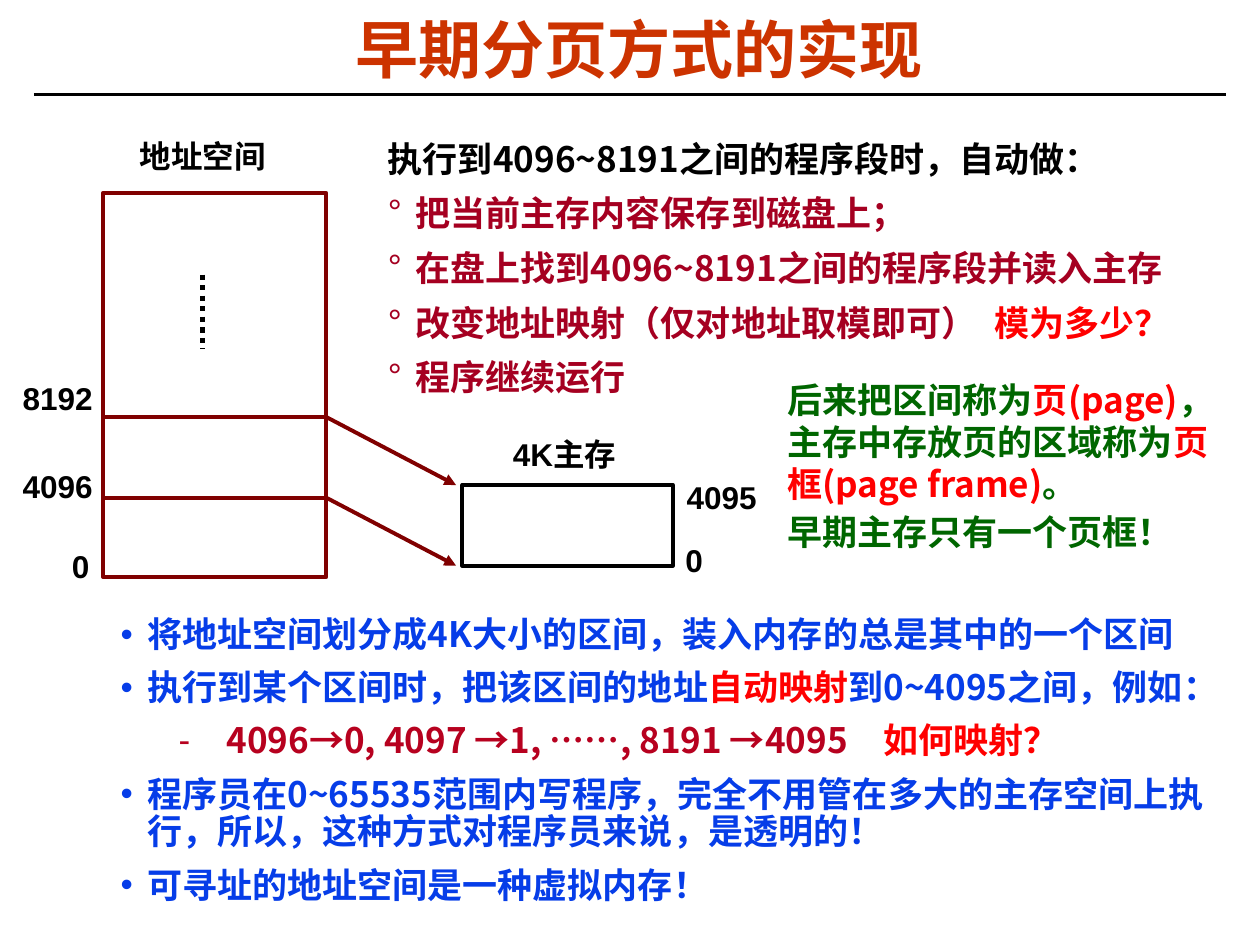
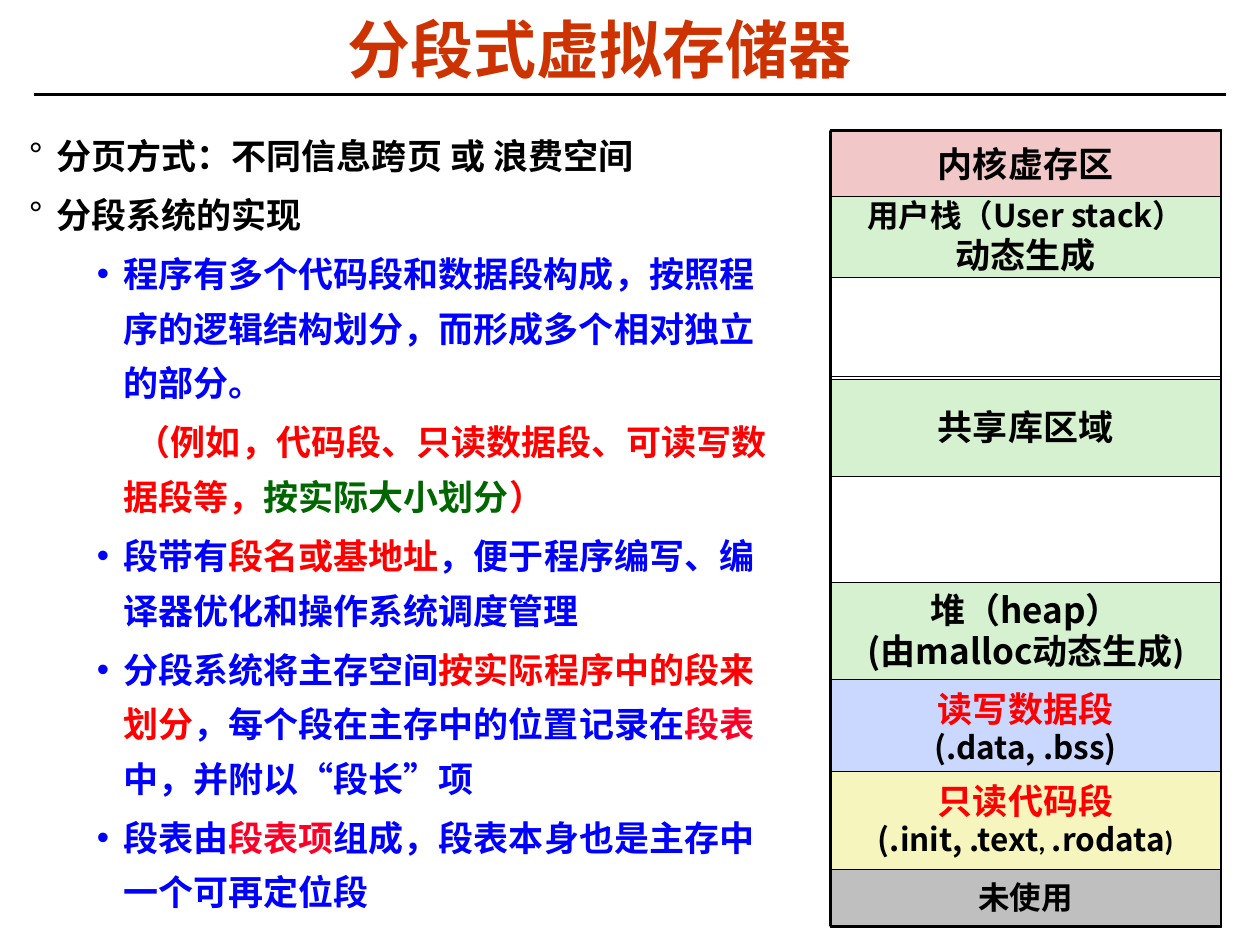
from dataclasses import dataclass
from typing import Optional

from lxml.etree import SubElement
from pptx import Presentation
from pptx.dml.color import RGBColor
from pptx.enum.dml import MSO_LINE
from pptx.enum.shapes import MSO_CONNECTOR, MSO_SHAPE
from pptx.enum.text import MSO_ANCHOR, PP_ALIGN
from pptx.oxml.ns import qn
from pptx.util import Emu, Pt

PX = 9144


@dataclass(frozen=True)
class Theme:
    title: str = "CC3300"
    black: str = "000000"
    white: str = "FFFFFF"
    red: str = "FF0000"
    crimson: str = "FC0128"
    blue: str = "0000FF"
    royal: str = "063DE8"
    wine: str = "A50021"
    ruby: str = "B7011F"
    maroon: str = "800000"
    green: str = "006600"
    kernel: str = "F1C7C7"
    dynamic: str = "D5F1CF"
    data: str = "CAD7FE"
    code: str = "F6F5BD"
    unused: str = "BFBFBF"
    latin: str = "Arial"
    cjk: str = "Noto Sans CJK SC"
    narrow: str = "Calibri"
    title_size: int = 36
    body_size: int = 20
    label_size: int = 18
    small_size: int = 16
    gap_size: int = 10


T = Theme()


@dataclass(frozen=True)
class Box:
    left: int
    top: int
    width: int
    height: int


@dataclass(frozen=True)
class Run:
    text: str
    color: str = T.black
    size: int = T.body_size
    font: str = T.cjk


@dataclass(frozen=True)
class Style:
    level: int = 0
    margin: int = 0
    indent: int = 0
    spacing: float = 1.0
    before: float = 0
    bullet: str = ""
    bullet_color: str = T.black
    align: Optional[PP_ALIGN] = None


@dataclass(frozen=True)
class Para:
    style: Style
    runs: tuple[Run, ...]


@dataclass(frozen=True)
class Label:
    text: str
    box: Box


@dataclass(frozen=True)
class Line:
    x1: int
    y1: int
    x2: int
    y2: int
    color: str = T.maroon
    width: float = 2.25
    dotted: bool = False
    arrow: bool = False


@dataclass(frozen=True)
class Segment:
    top: int
    height: int
    fill: str
    lines: tuple[tuple[Run, ...], ...] = ()
    border: float = 0.25


PLAIN = Style()
TITLE_CENTER = Style(spacing=0.87, align=PP_ALIGN.CENTER)
TITLE_LEFT = Style(spacing=0.87)
SEGMENT_TEXT = Style(spacing=0.98, align=PP_ALIGN.CENTER)
NOTE = Style(before=3.7)
STEP_HEAD = Style(margin=22, indent=-22, spacing=1.3)
STEP = Style(0, 22, -22, 1.3, 0, "°", T.wine)
POINT = Style(1, 75, -21, 0.9, 8.8, "•", T.royal)
EXAMPLE = Style(2, 138, -38, 0.9, 8.8, "-", T.ruby)
TOPIC = Style(0, 22, -22, 1.3, 2.5, "°", T.black)
DETAIL = Style(1, 75, -21, 1.3, 2.5, "•", T.blue)
ASIDE = Style(1, 75, 10, 1.3, 2.5)

LABELS = (
    Label("地址空间", Box(111, 109, 207, 30)),
    Label("4K主存", Box(407, 345, 113, 30)),
    Label("0", Box(544, 429, 44, 30)),
    Label("4095", Box(545, 379, 74, 30)),
    Label("0", Box(57, 434, 44, 30)),
    Label("4096", Box(18, 371, 59, 30)),
    Label("8192", Box(18, 301, 74, 30)),
)

STEPS = (
    Para(STEP_HEAD, (Run("执行到4096~8191之间的程序段时，自动做："),)),
    Para(STEP, (Run("把当前主存内容保存到磁盘上；", T.wine),)),
    Para(STEP, (Run("在盘上找到4096~8191之间的程序段并读入主存", T.wine),)),
    Para(STEP, (Run("改变地址映射（仅对地址取模即可）", T.wine),
                Run("　", T.wine, T.gap_size), Run("模为多少？", T.red))),
    Para(STEP, (Run("程序继续运行", T.wine),)),
)

PAGE_NOTES = (
    Para(NOTE, (Run("后来把区间称为", T.green), Run("页(page)", T.red),
                Run("，主存中存放页的区域称为", T.green),
                Run("页框(page frame)", T.red), Run("。", T.green))),
    Para(NOTE, (Run("早期主存只有一个页框！", T.green),)),
)

PAGING_POINTS = (
    Para(POINT, (Run("将地址空间划分成4K大小的区间，装入内存的总是其中的一个区间", T.royal),)),
    Para(POINT, (Run("执行到某个区间时，把该区间的地址", T.royal), Run("自动映射", T.red),
                 Run("到0~4095之间，例如：", T.royal))),
    Para(EXAMPLE, (Run("4096→0, 4097 →1, ……, 8191 →4095　", T.ruby),
                   Run("如何映射？", T.red))),
    Para(POINT, (Run("程序员在0~65535范围内写程序，完全不用管在多大的主存空间上执行，"
                     "所以，这种方式对程序员来说，是透明的！", T.royal),)),
    Para(POINT, (Run("可寻址的地址空间是一种虚拟内存！", T.royal),)),
)

SEGMENT_POINTS = (
    Para(TOPIC, (Run("分页方式：不同信息跨页 或 浪费空间"),)),
    Para(TOPIC, (Run("分段系统的实现"),)),
    Para(DETAIL, (Run("程序有多个代码段和数据段构成，按照程序的逻辑结构划分，"
                      "而形成多个相对独立的部分。", T.blue),)),
    Para(ASIDE, (Run("（例如，代码段、只读数据段、可读写数据段等，", T.red),
                 Run("按实际大小划分", T.green), Run("）", T.red))),
    Para(DETAIL, (Run("段带有", T.blue), Run("段名或基地址", T.red),
                  Run("，便于程序编写、编译器优化和操作系统调度管理", T.blue))),
    Para(DETAIL, (Run("分段系统将主存空间", T.blue), Run("按实际程序中的段来划分", T.red),
                  Run("，每个段在主存中的位置记录在", T.blue), Run("段表", T.crimson),
                  Run("中，并附以“段长”项", T.blue))),
    Para(DETAIL, (Run("段表由", T.blue), Run("段表项", T.crimson),
                  Run("组成，段表本身也是主存中一个可再定位段", T.blue))),
)

SEGMENTS = (
    Segment(103, 57, T.kernel, ((Run("内核虚存区"),),)),
    Segment(156, 65, T.dynamic, ((Run("用户栈（User stack）", size=T.label_size),),
                                 (Run("动态生成", font=T.narrow),))),
    Segment(220, 79, T.white, border=0.75),
    Segment(301, 78, T.dynamic, ((Run("共享库区域"),),)),
    Segment(378, 84, T.white),
    Segment(462, 78, T.dynamic, ((Run("堆（heap）"),),
                                 (Run("(由malloc动态生成"), Run(")", font=T.narrow)))),
    Segment(539, 78, T.data, ((Run("读写数据段", T.red),),
                              (Run("(.data, .bss)", size=T.label_size),))),
    Segment(612, 78, T.code, ((Run("只读代码段", T.red),),
                              (Run("(.init, .text", size=T.label_size),
                               Run(", ", size=T.small_size, font=T.narrow),
                               Run(".rodata", size=T.label_size),
                               Run(")", size=T.small_size, font=T.narrow)))),
    Segment(690, 46, T.unused, ((Run("未使用", size=T.label_size),),)),
)


def px(n: int) -> Emu:
    """Turn px into EMU."""
    return Emu(n * PX)


def rgb(color: str) -> RGBColor:
    """Turn a hex string into a colour."""
    return RGBColor.from_string(color)


def place(box: Box) -> tuple[Emu, Emu, Emu, Emu]:
    """Give a box as EMU lengths."""
    return px(box.left), px(box.top), px(box.width), px(box.height)


def add_run(p, run: Run) -> None:
    """Add one bold run with its Latin and East Asian fonts."""
    r = p.add_run()
    r.text = run.text
    r.font.name, r.font.size, r.font.bold = run.font, Pt(run.size), True
    r.font.color.rgb = rgb(run.color)
    SubElement(r.font._element, qn("a:ea"), typeface=T.cjk)


def format_paragraph(p, style: Style, first: bool) -> None:
    """Apply spacing, indents and bullet to a paragraph."""
    p.level, p.alignment, p.line_spacing = style.level, style.align, style.spacing
    p.space_before = Pt(0 if first else style.before)
    pPr = p._p.get_or_add_pPr()
    pPr.set("marL", str(px(style.margin)))
    pPr.set("indent", str(px(style.indent)))
    if style.bullet:
        SubElement(SubElement(pPr, qn("a:buClr")), qn("a:srgbClr"), val=style.bullet_color)
        SubElement(pPr, qn("a:buFont"), typeface=T.latin)
        SubElement(pPr, qn("a:buChar"), char=style.bullet)
    else:
        SubElement(pPr, qn("a:buNone"))


def fill_text(tf, paras: tuple[Para, ...]) -> None:
    """Write paragraphs into a text frame."""
    for i, para in enumerate(paras):
        p = tf.add_paragraph() if i else tf.paragraphs[0]
        format_paragraph(p, para.style, i == 0)
        for run in para.runs:
            add_run(p, run)


def add_text(s, box: Box, paras: tuple[Para, ...], inset: bool = True,
             anchor: MSO_ANCHOR = MSO_ANCHOR.TOP) -> None:
    """Add a wrapping text box, with or without insets."""
    tf = s.shapes.add_textbox(*place(box)).text_frame
    tf.word_wrap, tf.vertical_anchor = True, anchor
    if not inset:
        tf.margin_left = tf.margin_top = tf.margin_right = tf.margin_bottom = 0
    fill_text(tf, paras)


def add_rect(s, box: Box, fill: Optional[str], color: str, width: float):
    """Add an outlined rectangle."""
    sp = s.shapes.add_shape(MSO_SHAPE.RECTANGLE, *place(box))
    sp.shadow.inherit = False
    if fill:
        sp.fill.solid()
        sp.fill.fore_color.rgb = rgb(fill)
    else:
        sp.fill.background()
    sp.line.color.rgb, sp.line.width = rgb(color), Pt(width)
    return sp


def add_line(s, line: Line) -> None:
    """Add a straight line, dotted or with an arrowhead if asked."""
    cx = s.shapes.add_connector(MSO_CONNECTOR.STRAIGHT, px(line.x1), px(line.y1),
                                px(line.x2), px(line.y2))
    cx.line.color.rgb, cx.line.width = rgb(line.color), Pt(line.width)
    if line.dotted:
        cx.line.dash_style = MSO_LINE.ROUND_DOT
    if line.arrow:
        SubElement(cx.line._get_or_add_ln(), qn("a:tailEnd"), type="triangle")
    SubElement(cx._element.spPr, qn("a:effectLst"))


def add_slide(prs, title: str, box: Box, style: Style):
    """Add a blank slide with the shared title and rule."""
    s = prs.slides.add_slide(prs.slide_layouts[6])
    add_line(s, Line(27, 75, 973, 75, T.black, 1.5))
    run = Run(title, T.title, T.title_size, T.latin)
    add_text(s, box, (Para(style, (run,)),), anchor=MSO_ANCHOR.MIDDLE)
    return s


def build_paging(prs) -> None:
    """Build the slide on early paging."""
    s = add_slide(prs, "早期分页方式的实现", Box(26, 12, 963, 62), TITLE_CENTER)
    add_text(s, Box(32, 485, 936, 258), PAGING_POINTS)
    add_rect(s, Box(82, 153, 177, 305), T.white, T.maroon, 2.25)
    add_rect(s, Box(367, 385, 167, 64), T.white, T.black, 2.25)
    for page_y, memory_y in ((331, 385), (395, 449)):
        add_line(s, Line(82, page_y, 259, page_y))
        add_line(s, Line(259, page_y, 362, memory_y, arrow=True))
    add_line(s, Line(161, 218, 161, 277, T.black, 3, dotted=True))
    for label in LABELS:
        run = Run(label.text, size=T.label_size, font=T.latin)
        add_text(s, label.box, (Para(PLAIN, (run,)),), inset=False)
    add_text(s, Box(298, 94, 664, 281), STEPS)
    add_text(s, Box(625, 300, 354, 139), PAGE_NOTES, inset=False)


def build_segments(prs) -> None:
    """Build the slide on segmented virtual memory."""
    s = add_slide(prs, "分段式虚拟存储器", Box(266, 12, 540, 62), TITLE_LEFT)
    add_text(s, Box(13, 92, 612, 644), SEGMENT_POINTS)
    for seg in SEGMENTS:
        sp = add_rect(s, Box(659, seg.top, 310, seg.height), seg.fill, T.black, seg.border)
        tf = sp.text_frame
        tf.word_wrap, tf.vertical_anchor = False, MSO_ANCHOR.MIDDLE
        fill_text(tf, tuple(Para(SEGMENT_TEXT, runs) for runs in seg.lines))
    add_rect(s, Box(659, 104, 310, 631), None, T.black, 1.5)


def main() -> None:
    """Build and save the presentation."""
    prs = Presentation()
    prs.slide_width, prs.slide_height = px(1000), px(750)
    build_paging(prs)
    build_segments(prs)
    prs.save("out.pptx")


if __name__ == "__main__":
    main()
